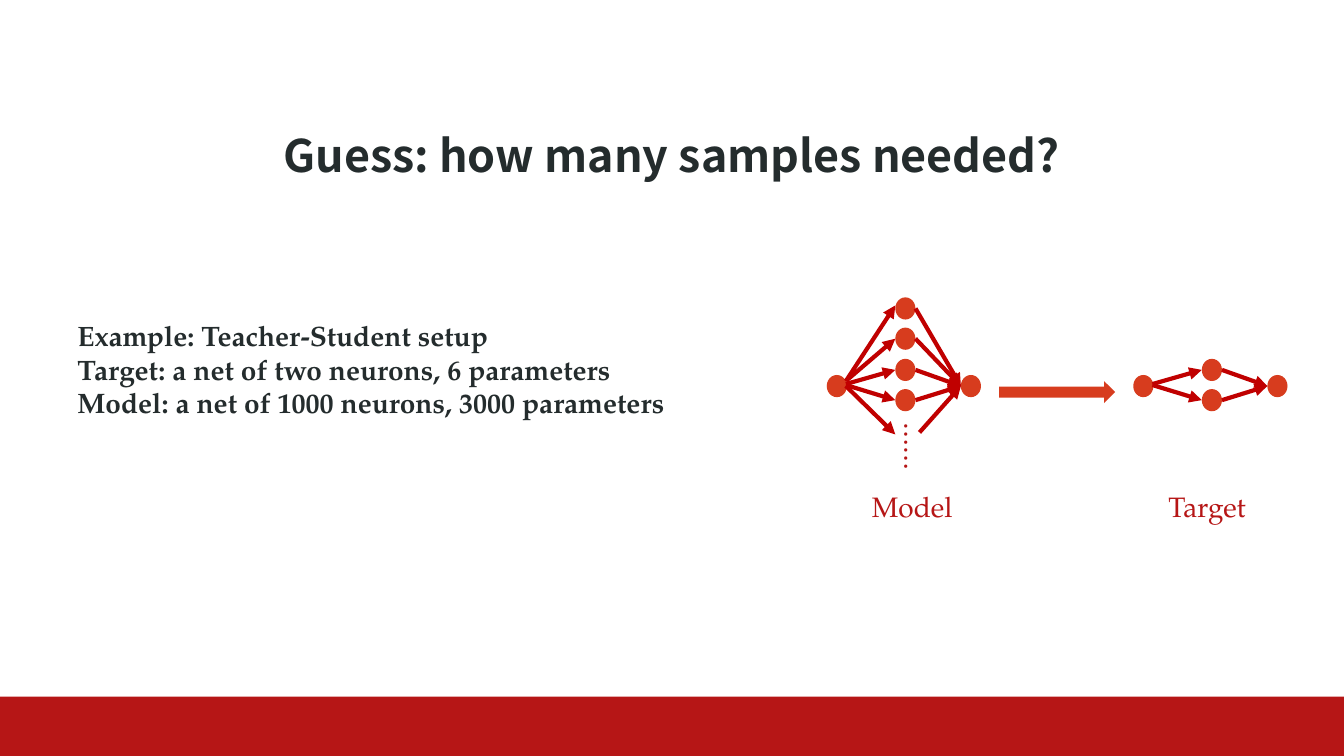
from lxml import etree
from pptx import Presentation
from pptx.dml.color import RGBColor
from pptx.enum.shapes import MSO_CONNECTOR, MSO_SHAPE
from pptx.enum.text import MSO_ANCHOR, PP_ALIGN
from pptx.oxml.ns import qn
from pptx.util import Pt

PX = 9144  # 100 px to the inch
INK, BAND_RED, NEURON, LINK = "242C2D", "B61616", "D73C1E", "C00000"
SERIF = "TeX Gyre Pagella"

prs = Presentation()
prs.slide_width, prs.slide_height = 1333 * PX, 750 * PX
slide = prs.slides.add_slide(prs.slide_layouts[6])
shapes = slide.shapes


def add_block(kind, left, top, width, height, color):
    """Add a filled preset shape without outline or shadow."""
    block = shapes.add_shape(kind, left * PX, top * PX, width * PX, height * PX)
    block.shadow.inherit = False
    block.fill.solid()
    block.fill.fore_color.rgb = RGBColor.from_string(color)
    block.line.fill.background()


def add_text(lines, left, top, width, height, color, size=20, font=SERIF, bold=False):
    box = shapes.add_textbox(left * PX, top * PX, width * PX, height * PX)
    box.text_frame.word_wrap = True
    box.text_frame.text = lines
    for paragraph in box.text_frame.paragraphs:
        paragraph.font.size = Pt(size)
        paragraph.font.name = font
        paragraph.font.bold = bold
        paragraph.font.color.rgb = RGBColor.from_string(color)
    return box


add_block(MSO_SHAPE.RECTANGLE, 0, 691, 1333, 59, BAND_RED)

title = add_text("Guess: how many samples needed?", 0, 112, 1333, 68, INK,
                 32, "Noto Sans CJK SC", True).text_frame
title.margin_left = title.margin_right = title.margin_top = title.margin_bottom = 0
title.vertical_anchor = MSO_ANCHOR.BOTTOM
title.paragraphs[0].alignment = PP_ALIGN.CENTER

add_text("Example: Teacher-Student setup\n"
         "Target: a net of two neurons, 6 parameters\n"
         "Model: a net of 1000 neurons, 3000 parameters",
         67, 311, 687, 111, INK, bold=True)

# Hidden neurons: top, then start and end height of the incoming link
outer_neurons = [(295, 378, 303), (325, 378, 336)]
inner_neurons = [(356, 381, 367), (386, 382, 397)]
networks = [(820, outer_neurons + inner_neurons), (1124, inner_neurons)]
links = [(839, 383, 888, 431), (912, 429, 953, 383)]  # to and from the omitted neurons

for left, hidden_neurons in networks:
    for end_neuron in (left, left + 133):
        add_block(MSO_SHAPE.OVAL, end_neuron, 372, 20, 22, NEURON)
    for top, start, end in hidden_neurons:
        add_block(MSO_SHAPE.OVAL, left + 68, top, 20, 22, NEURON)
        links.append((left + 19, start, left + 68, end))
        links.append((left + 88, top + 11, left + 133, 383))

for link_ends in links:
    link = shapes.add_connector(MSO_CONNECTOR.STRAIGHT, *(end * PX for end in link_ends))
    link.line.color.rgb = RGBColor.from_string(LINK)
    link.line.width = Pt(3)
    etree.SubElement(link.line._get_or_add_ln(), qn("a:tailEnd"), type="triangle")
    etree.SubElement(link._element.spPr, qn("a:effectLst"))

add_text("……", 865, 430, 85, 44, BAND_RED).rotation = 90
add_block(MSO_SHAPE.RIGHT_ARROW, 991, 378, 115, 22, NEURON)
for caption, left in (("Model", 855), ("Target", 1149)):
    add_text(caption, left, 481, 105, 44, BAND_RED)

prs.save("out.pptx")
